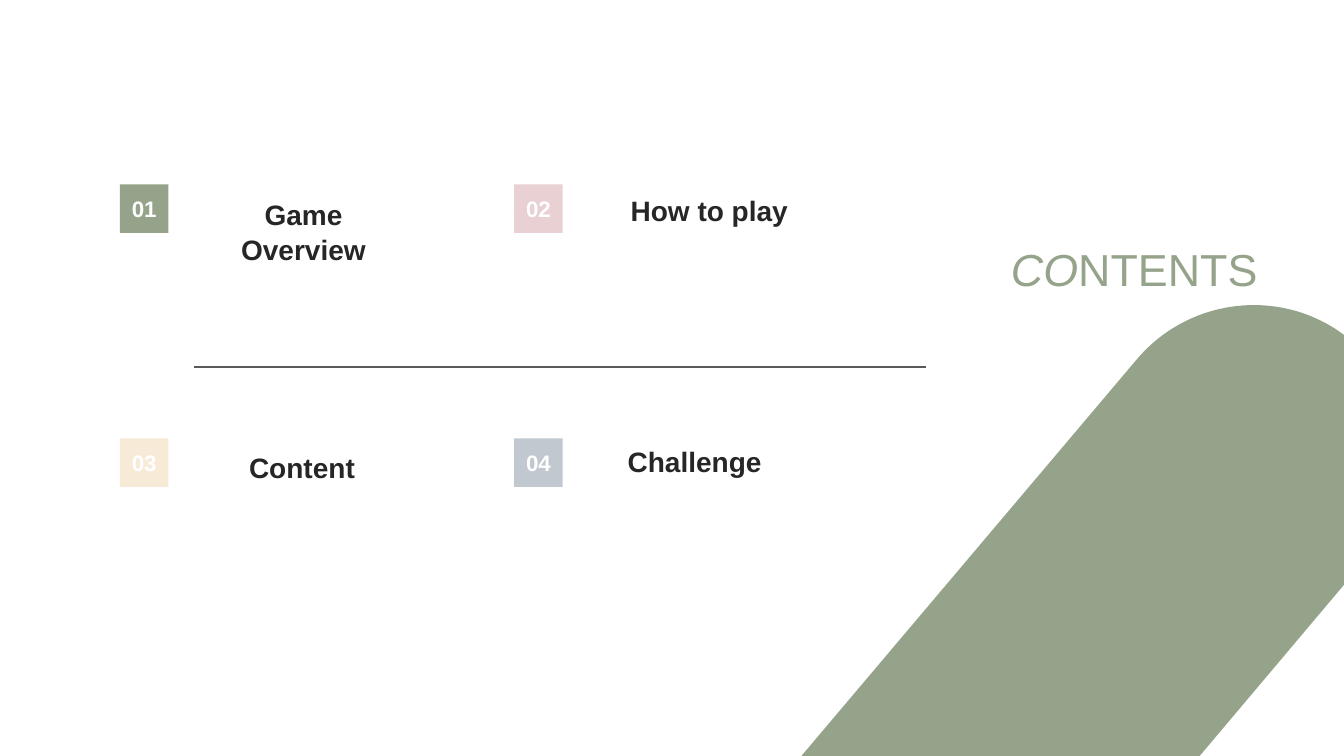
from dataclasses import dataclass

from lxml import etree
from pptx import Presentation
from pptx.dml.color import RGBColor
from pptx.enum.shapes import MSO_CONNECTOR, MSO_SHAPE
from pptx.enum.text import MSO_ANCHOR, MSO_AUTO_SIZE, PP_ALIGN
from pptx.oxml.ns import qn
from pptx.util import Inches, Pt

RECTANGLE = MSO_SHAPE.RECTANGLE
STRAIGHT = MSO_CONNECTOR.STRAIGHT
MIDDLE, TOP = MSO_ANCHOR.MIDDLE, MSO_ANCHOR.TOP
CENTER = PP_ALIGN.CENTER
GROW, FIXED = MSO_AUTO_SIZE.SHAPE_TO_FIT_TEXT, MSO_AUTO_SIZE.NONE


@dataclass(frozen=True)
class Theme:
    font: str = "Arial"
    sage: str = "95A38A"
    rose: str = "E9D0D3"
    cream: str = "F7EAD7"
    mist: str = "C1C8D0"
    white: str = "FFFFFF"
    ink: str = "262626"
    rule: str = "595959"
    number_size: int = 16
    label_size: int = 20
    title_size: int = 32


THEME = Theme()
BADGE = 0.48
COLUMNS = (1.19, 5.1)
ROWS = (1.83, 4.35)

# Number, label, badge colour, label box relative to the badge corner
ENTRIES = (
    ("01", "Game Overview", THEME.sage, (0.63, 0.01, 2.38, 0.53)),
    ("02", "How to play", THEME.rose, (0.25, -0.03, 3.37, 0.54)),
    ("03", "Content", THEME.cream, (0.56, 0, 2.49, 0.54)),
    ("04", "Challenge", THEME.mist, (0.74, -0.06, 2.1, 0.54)),
)


def write(shape, spans, size, color, bold=False, anchor=TOP, inset=0.1,
          autosize=FIXED, spacing=1.0):
    """Fill a shape with one centred paragraph of (text, italic) spans."""
    frame = shape.text_frame
    frame_format = {
        "word_wrap": True, "auto_size": autosize, "vertical_anchor": anchor,
        "margin_left": Inches(inset), "margin_right": Inches(inset),
        "margin_top": Inches(inset / 2), "margin_bottom": Inches(inset / 2),
    }
    for name, value in frame_format.items():
        setattr(frame, name, value)
    para = frame.paragraphs[0]
    para.alignment = CENTER
    para.line_spacing = spacing
    for text, italic in spans:
        span = para.add_run()
        span.text = text
        span_format = {"name": THEME.font, "size": Pt(size), "bold": bold, "italic": italic}
        for name, value in span_format.items():
            setattr(span.font, name, value)
        span.font.color.rgb = RGBColor.from_string(color)


def paint(shape, color):
    shape.shadow.inherit = False
    shape.fill.solid()
    shape.fill.fore_color.rgb = RGBColor.from_string(color)
    shape.line.fill.background()


def add_entry(page, left, top, number, label, color, label_box):
    group = page.shapes.add_group_shape()
    badge = group.shapes.add_shape(
        RECTANGLE, Inches(left), Inches(top), Inches(BADGE), Inches(BADGE))
    paint(badge, color)
    write(badge, [(number, False)], THEME.number_size, THEME.white, bold=True, anchor=MIDDLE)
    across, down, width, height = label_box
    box = group.shapes.add_textbox(
        Inches(left + across), Inches(top + down), Inches(width), Inches(height))
    write(box, [(label, False)], THEME.label_size, THEME.ink, bold=True,
          inset=0.2, autosize=GROW, spacing=1.05)


def add_divider(page, left, right, top):
    divider = page.shapes.add_connector(
        STRAIGHT, Inches(left), Inches(top), Inches(right), Inches(top))
    divider.line.color.rgb = RGBColor.from_string(THEME.rule)
    divider.line.width = Pt(1)
    etree.SubElement(divider._element.spPr, qn("a:effectLst"))


def add_title(page, left, top, width, height):
    box = page.shapes.add_textbox(Inches(left), Inches(top), Inches(width), Inches(height))
    write(box, [("CO", True), ("NTENTS", False)], THEME.title_size, THEME.sage, spacing=1.1)


def bezier(start, first, second, end, steps=40):
    """Return the points of a cubic curve, both ends included."""
    points = []
    for step in range(steps + 1):
        t = step / steps
        weights = ((1 - t) ** 3, 3 * t * (1 - t) ** 2, 3 * t ** 2 * (1 - t), t ** 3)
        points.append(tuple(
            sum(weight * value for weight, value in zip(weights, axis))
            for axis in zip(start, first, second, end)))
    return points


def add_band(page, left, top, right, bottom):
    """Draw the slanted round-ended band; top is where it meets the right edge."""
    arc = bezier((left + 3.34, top + 0.23), (left + 3.86, top - 0.38),
                 (left + 4.77, top - 0.48), (right, top))
    outline = [*arc, (right, top + 2.46), (left + 3.95, bottom)]
    builder = page.shapes.build_freeform(Inches(left), Inches(bottom), scale=1.0)
    builder.add_line_segments([(Inches(x), Inches(y)) for x, y in outline], close=True)
    paint(builder.convert_to_shape(), THEME.sage)


def build_contents(deck):
    page = deck.slides.add_slide(deck.slide_layouts[6])
    page.background.fill.solid()
    page.background.fill.fore_color.rgb = RGBColor.from_string(THEME.white)
    add_divider(page, 1.92, 9.18, 3.64)
    for index, entry in enumerate(ENTRIES):
        row, column = divmod(index, len(COLUMNS))
        add_entry(page, COLUMNS[column], ROWS[row], *entry)
    add_title(page, 9.71, 2.3, 3.08, 1.02)
    add_band(page, 7.94, 3.33, 13.34, 7.51)


def main():
    deck = Presentation()
    deck.slide_width, deck.slide_height = Inches(13.33), Inches(7.5)
    build_contents(deck)
    deck.save("out.pptx")


if __name__ == "__main__":
    main()
